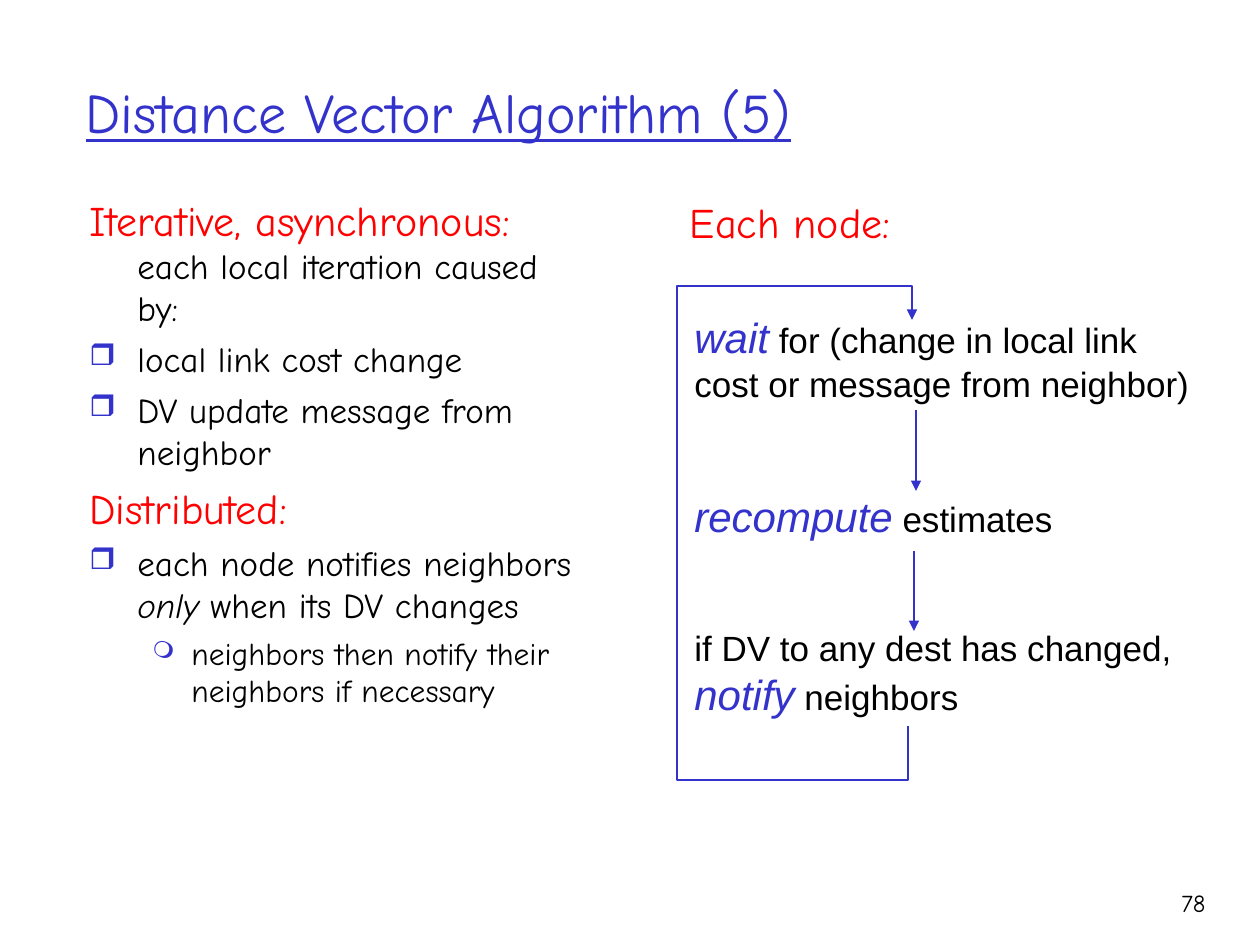
"""Build the Distance Vector Algorithm slide with its node loop."""
from lxml import etree
from pptx import Presentation
from pptx.dml.color import RGBColor
from pptx.enum.shapes import MSO_CONNECTOR
from pptx.enum.text import MSO_ANCHOR, MSO_AUTO_SIZE, PP_ALIGN
from pptx.oxml.ns import qn
from pptx.util import Pt

SCALE = 914400 / 126
STRAIGHT = MSO_CONNECTOR.STRAIGHT
TOP, MIDDLE = MSO_ANCHOR.TOP, MSO_ANCHOR.MIDDLE
LEFT, CENTER, RIGHT = PP_ALIGN.LEFT, PP_ALIGN.CENTER, PP_ALIGN.RIGHT
COLORS = {"blue": "3333CC", "red": "FF0000", "black": "000000"}
HAND, SANS = "Comic Neue", "Arial"


def px(value):
    return round(value * SCALE)


def fill_text(shape, box, paragraphs, font_name, align=LEFT, **frame_format):
    shape.left, shape.top, shape.width, shape.height = map(px, box)
    frame = shape.text_frame
    settings = {"word_wrap": True, "auto_size": MSO_AUTO_SIZE.NONE, "vertical_anchor": TOP}
    for name, value in (settings | frame_format).items():
        setattr(frame, name, value)
    for index, (space, level, bullet, runs) in enumerate(paragraphs):
        paragraph = frame.add_paragraph() if index else frame.paragraphs[0]
        paragraph.alignment, paragraph.level = align, level
        paragraph.space_before = Pt(space)
        if bullet:
            symbol, size, margin, indent = bullet
            properties = paragraph._p.get_or_add_pPr()
            properties.set("marL", str(px(margin)))
            properties.set("indent", str(px(-indent)))
            if symbol:
                color = etree.SubElement(properties, qn("a:buClr"))
                etree.SubElement(color, qn("a:srgbClr"), val=COLORS["blue"])
                etree.SubElement(properties, qn("a:buSzPct"), val=str(size * 1000))
                etree.SubElement(properties, qn("a:buChar"), char=symbol)
            else:
                etree.SubElement(properties, qn("a:buNone"))
        for text, size, color, style in runs:
            run = paragraph.add_run()
            run.text = text
            run.font.color.rgb = RGBColor.from_string(COLORS[color])
            for name, value in ({"name": font_name, "size": Pt(size)} | style).items():
                setattr(run.font, name, value)


presentation = Presentation()
presentation.slide_width, presentation.slide_height = px(1260), px(945)
slide = presentation.slides.add_slide(presentation.slide_layouts[5])
shapes = slide.shapes
ITALIC = {"italic": True}

title_runs = [("Distance Vector Algorithm (5)", 32, "blue", {"underline": True})]
fill_text(shapes.title, (73, 32, 1071, 158), [(0, 0, None, title_runs)], HAND,
          vertical_anchor=MIDDLE)

PLAIN = ("", 100, 48, 48)
SQUARE = ("❒", 85, 48, 48)
CIRCLE = ("❍", 75, 102, 39)
properties_list = [
    (5, 0, PLAIN, [("Iterative, asynchronous: ", 24, "red", {}),
                   ("each local iteration caused by:", 20, "black", {})]),
    (5, 0, SQUARE, [("local link cost change", 20, "black", {})]),
    (5, 0, SQUARE, [("DV update message from neighbor", 20, "black", {})]),
    (6, 0, PLAIN, [("Distributed:", 24, "red", {})]),
    (5, 0, SQUARE, [("each node notifies neighbors ", 20, "black", {}),
                    ("only", 20, "black", ITALIC),
                    (" when its DV changes", 20, "black", {})]),
    (4.5, 1, CIRCLE, [("neighbors then notify their neighbors if necessary", 18, "black", {})]),
]
node_steps = [
    (0, 0, None, [("wait", 24, "blue", ITALIC),
                  (" for (change in local link cost or message from neighbor)", 20, "black", {})]),
    (49, 0, None, [("recompute", 24, "blue", ITALIC), (" estimates", 20, "black", {})]),
    (49, 0, None, [("if DV to any dest has changed, ", 20, "black", {}),
                   ("notify", 24, "blue", ITALIC), (" neighbors", 20, "black", {})]),
]
heading = [(0, 0, None, [("Each node:", 24, "red", {})])]
page_number = [(0, 0, None, [("78", 14, "black", {})])]

for box, paragraphs, font_name, align, frame_format in [
    ((77, 188, 522, 640), properties_list, HAND, LEFT, {}),
    ((682, 229, 536, 556), node_steps, SANS, LEFT, {"margin_top": px(83)}),
    ((677, 190, 226, 63), heading, HAND, CENTER, {"word_wrap": False}),
    ((1125, 882, 93, 63), page_number, HAND, RIGHT, {}),
]:
    fill_text(shapes.add_textbox(0, 0, 0, 0), box, paragraphs, font_name, align, **frame_format)

arrows = []
for x, start, end in [(916, 410, 491), (914, 551, 631)]:
    arrow = shapes.add_connector(STRAIGHT, px(x), px(start), px(x), px(end))
    etree.SubElement(arrow._element.spPr, qn("a:effectLst"))
    arrows.append(arrow)

builder = shapes.build_freeform(908, 726, scale=SCALE)
builder.add_line_segments(
    [(908, 780), (677, 780), (677, 286), (912, 286), (912, 320)], close=False)
loop = builder.convert_to_shape()
loop.fill.background()
loop.shadow.inherit = False
arrows.append(loop)

for arrow in arrows:
    arrow.line.color.rgb = RGBColor.from_string(COLORS["blue"])
    arrow.line.width = Pt(1.5)
    etree.SubElement(arrow.line._get_or_add_ln(), qn("a:tailEnd"), type="triangle")

presentation.save("out.pptx")
